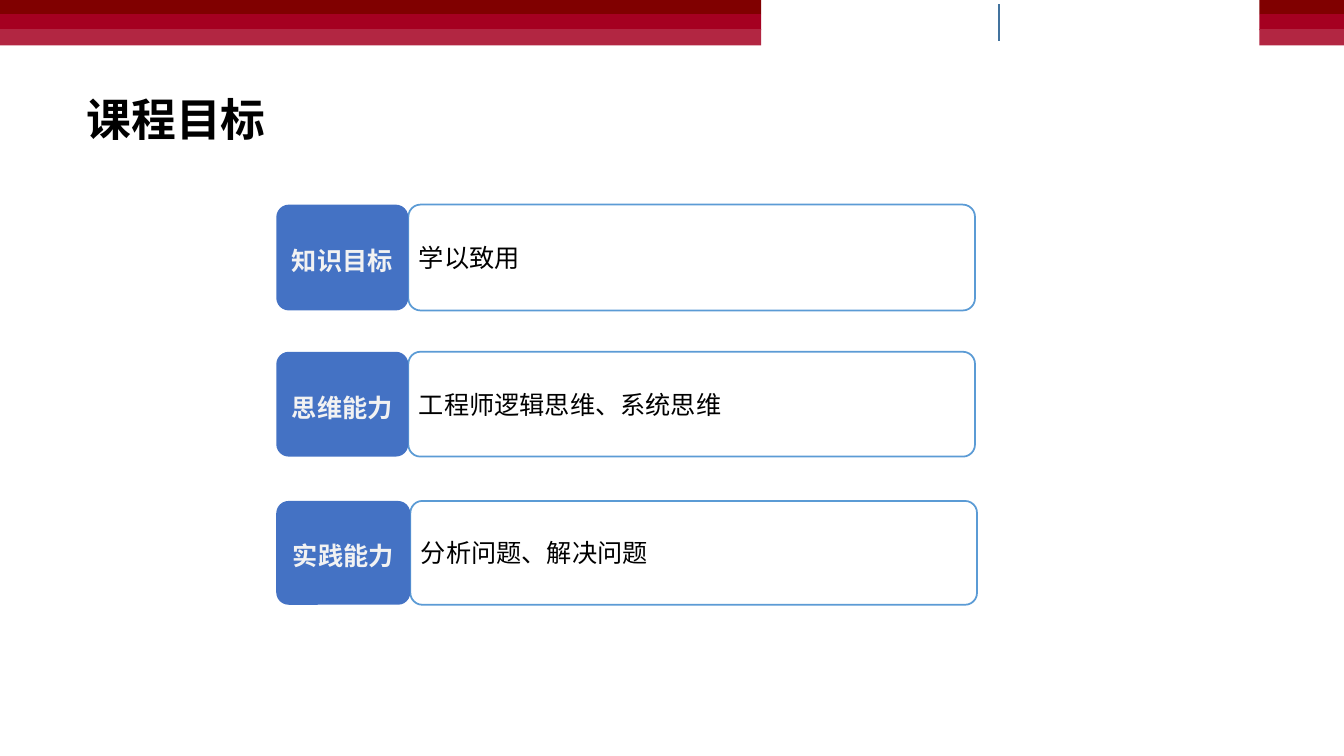
"""Build the course goals slide."""
from lxml import etree
from pptx import Presentation
from pptx.dml.color import RGBColor
from pptx.enum.shapes import MSO_CONNECTOR, MSO_SHAPE
from pptx.enum.text import MSO_ANCHOR, PP_ALIGN
from pptx.oxml.ns import qn
from pptx.util import Inches, Pt

TITLE = "课程目标"
GOALS = [
    {"label": "知识目标", "detail": "学以致用", "top": 2.03, "height": 1.05, "label_width": 1.31},
    {"label": "思维能力", "detail": "工程师逻辑思维、系统思维", "top": 3.49, "height": 1.04, "label_width": 1.31},
    {"label": "实践能力", "detail": "分析问题、解决问题", "top": 4.97, "height": 1.03, "label_width": 1.33},
]
STRIPES = [(0, 0.14, "800000"), (0.14, 0.16, "A50021"), (0.29, 0.16, "B22642")]
BANDS = [(0, 7.55), (12.49, 0.84)]
CJK_FONT = "Noto Sans CJK SC"
LABEL_LEFT, DETAIL_WIDTH = 2.74, 5.62


def color(value):
    return RGBColor.from_string(value)


def add_box(slide, kind, box, fill=None, line=None):
    shape = slide.shapes.add_shape(kind, *map(Inches, box))
    shape.shadow.inherit = False
    if fill:
        shape.fill.solid()
        shape.fill.fore_color.rgb = color(fill)
    else:
        shape.fill.background()
    if line:
        shape.line.color.rgb = color(line)
        shape.line.width = Pt(1.25)
    else:
        shape.line.fill.background()
    return shape


def write(shape, text, size=18, font=CJK_FONT, ink="000000", bold=False,
          align=PP_ALIGN.LEFT, anchor=MSO_ANCHOR.MIDDLE, spacing=None, insets=(0.07, 0.03)):
    frame = shape.text_frame
    frame.word_wrap = True
    frame.vertical_anchor = anchor
    frame.margin_left = frame.margin_right = Inches(insets[0])
    frame.margin_top = frame.margin_bottom = Inches(insets[1])
    paragraph = frame.paragraphs[0]
    paragraph.alignment = align
    paragraph.line_spacing = spacing
    run = paragraph.add_run()
    run.text = text
    run.font.size = Pt(size)
    run.font.bold = bold
    run.font.color.rgb = color(ink)
    run.font.name = font
    etree.SubElement(run.font._element, qn("a:ea")).set("typeface", CJK_FONT)


def add_goal(slide, goal):
    top, height, label_width = goal["top"], goal["height"], goal["label_width"]
    detail = add_box(slide, MSO_SHAPE.ROUNDED_RECTANGLE,
                     (LABEL_LEFT + label_width, top, DETAIL_WIDTH, height), line="5B9BD5")
    detail.adjustments[0] = 0.115
    write(detail, goal["detail"])
    label = add_box(slide, MSO_SHAPE.ROUNDED_RECTANGLE,
                    (LABEL_LEFT, top, label_width, height), fill="4472C4")
    label.adjustments[0] = 0.119
    write(label, goal["label"], ink="F2F2F2", bold=True, align=PP_ALIGN.CENTER, spacing=1.2)


def main():
    presentation = Presentation()
    presentation.slide_width, presentation.slide_height = Inches(13.33), Inches(7.5)
    slide = presentation.slides.add_slide(presentation.slide_layouts[6])

    for left, width in BANDS:
        for top, height, fill in STRIPES:
            add_box(slide, MSO_SHAPE.RECTANGLE, (left, top, width, height), fill=fill)

    title = slide.shapes.add_textbox(Inches(0.76), Inches(0.86), Inches(6.93), Inches(0.64))
    write(title, TITLE, size=32, font="Calibri", bold=True,
          anchor=MSO_ANCHOR.TOP, insets=(0.1, 0.05))

    for goal in GOALS:
        add_goal(slide, goal)

    divider = slide.shapes.add_connector(
        MSO_CONNECTOR.STRAIGHT, Inches(9.91), Inches(0.04), Inches(9.91), Inches(0.41))
    divider.line.color.rgb = color("43739E")
    divider.line.width = Pt(1)
    etree.SubElement(divider._element.spPr, qn("a:effectLst"))

    presentation.save("out.pptx")


if __name__ == "__main__":
    main()
